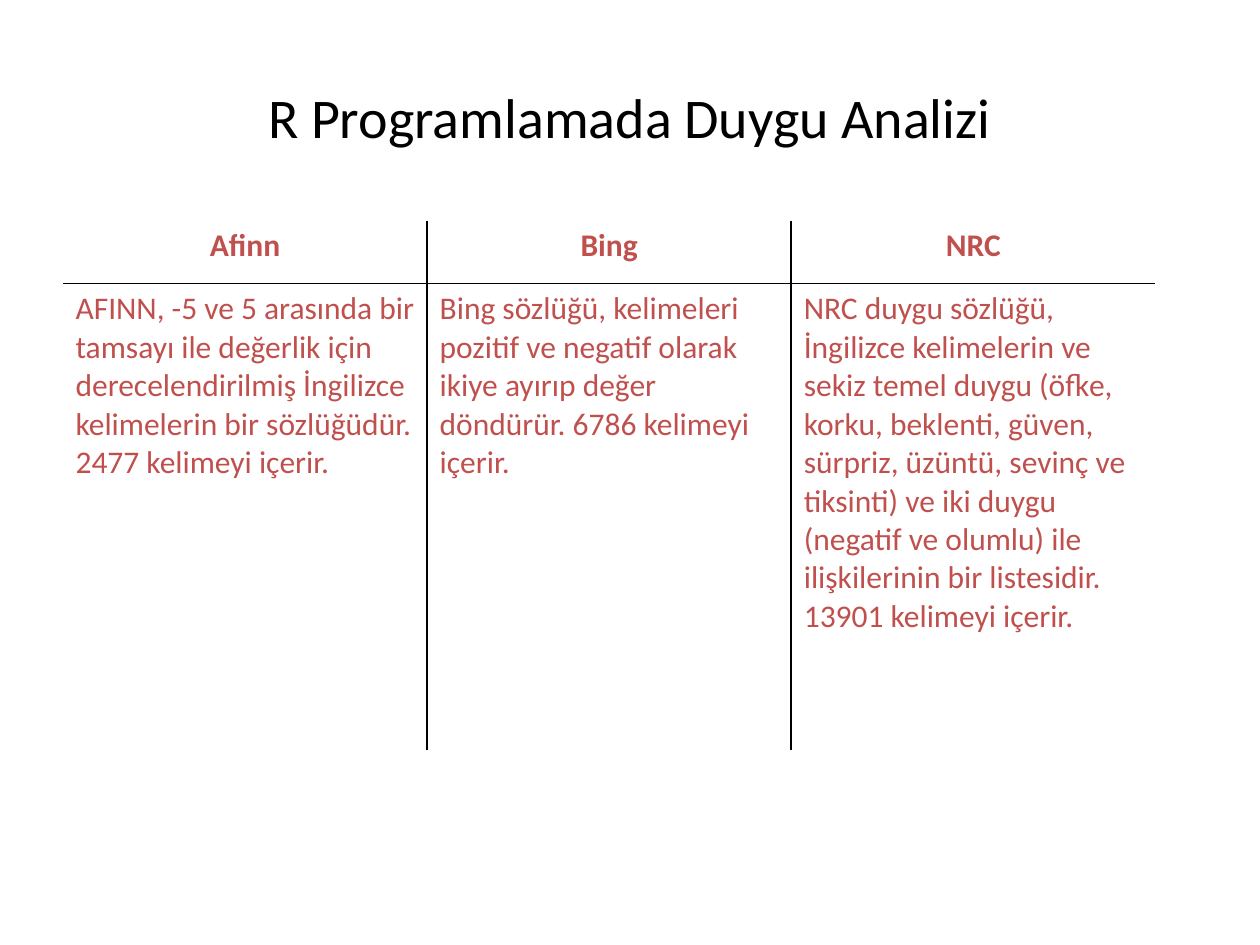
import pptx
import pptx.util
import pptx.dml.color
import pptx.enum.text
import pptx.oxml
import pptx.oxml.ns

Inches, Pt = pptx.util.Inches, pptx.util.Pt
Align = pptx.enum.text.PP_ALIGN

TITLE = "R Programlamada Duygu Analizi"
ROWS = [
    ["Afinn", "Bing", "NRC"],
    [
        "AFINN, -5 ve 5 arasında bir tamsayı ile değerlik için derecelendirilmiş "
        "İngilizce kelimelerin bir sözlüğüdür. 2477 kelimeyi içerir.",
        "Bing sözlüğü, kelimeleri pozitif ve negatif olarak ikiye ayırıp değer "
        "döndürür. 6786 kelimeyi içerir.",
        "NRC duygu sözlüğü, İngilizce kelimelerin ve sekiz temel duygu (öfke, "
        "korku, beklenti, güven, sürpriz, üzüntü, sevinç ve tiksinti) ve iki duygu "
        "(negatif ve olumlu) ile ilişkilerinin bir listesidir. 13901 kelimeyi içerir.",
    ],
]
HEIGHTS = [0.5, 3.7]
WIDTH = 2.89
COLORS = {"title": "000000", "text": "C0504D", "line": "000000"}


def style(para, size, color, bold, align):
    para.alignment = align
    font = para.font
    font.name, font.size, font.bold = "Calibri", Pt(size), bold
    font.color.rgb = pptx.dml.color.RGBColor.from_string(COLORS[color])


def border(cell, sides):
    """Draw the sides named in sides (letters of LRTB) and clear the others."""
    props = cell._tc.get_or_add_tcPr()
    for pos, side in enumerate("LRTB"):
        fill = "<a:noFill/>"
        if side in sides:
            fill = f'<a:solidFill><a:srgbClr val="{COLORS["line"]}"/></a:solidFill>'
        line = pptx.oxml.parse_xml(
            f'<a:ln{side} {pptx.oxml.ns.nsdecls("a")} w="{Pt(1)}">{fill}</a:ln{side}>')
        props.insert(pos, line)


deck = pptx.Presentation()
deck.slide_width, deck.slide_height = Inches(10), Inches(7.5)
slide = deck.slides.add_slide(deck.slide_layouts[6])

box = slide.shapes.add_textbox(Inches(0.5), Inches(0.3), Inches(9), Inches(1.25))
frame = box.text_frame
frame.word_wrap = True
frame.vertical_anchor = pptx.enum.text.MSO_ANCHOR.MIDDLE
frame.text = TITLE
style(frame.paragraphs[0], 32, "title", False, Align.CENTER)

count = len(ROWS[0])
table = slide.shapes.add_table(
    len(ROWS), count, Inches(0.5), Inches(1.75),
    Inches(WIDTH * count), Inches(sum(HEIGHTS))).table
table.first_row = table.horz_banding = False
for col in table.columns:
    col.width = Inches(WIDTH)

for r, texts in enumerate(ROWS):
    table.rows[r].height = Inches(HEIGHTS[r])
    head = r == 0
    for c, text in enumerate(texts):
        cell = table.cell(r, c)
        cell.text = text
        cell.fill.background()
        style(cell.text_frame.paragraphs[0], 18, "text", head,
              Align.CENTER if head else Align.LEFT)
        sides = "B" if head else "T"
        if c > 0:
            sides += "L"
        if c < count - 1:
            sides += "R"
        border(cell, sides)

deck.save("out.pptx")
